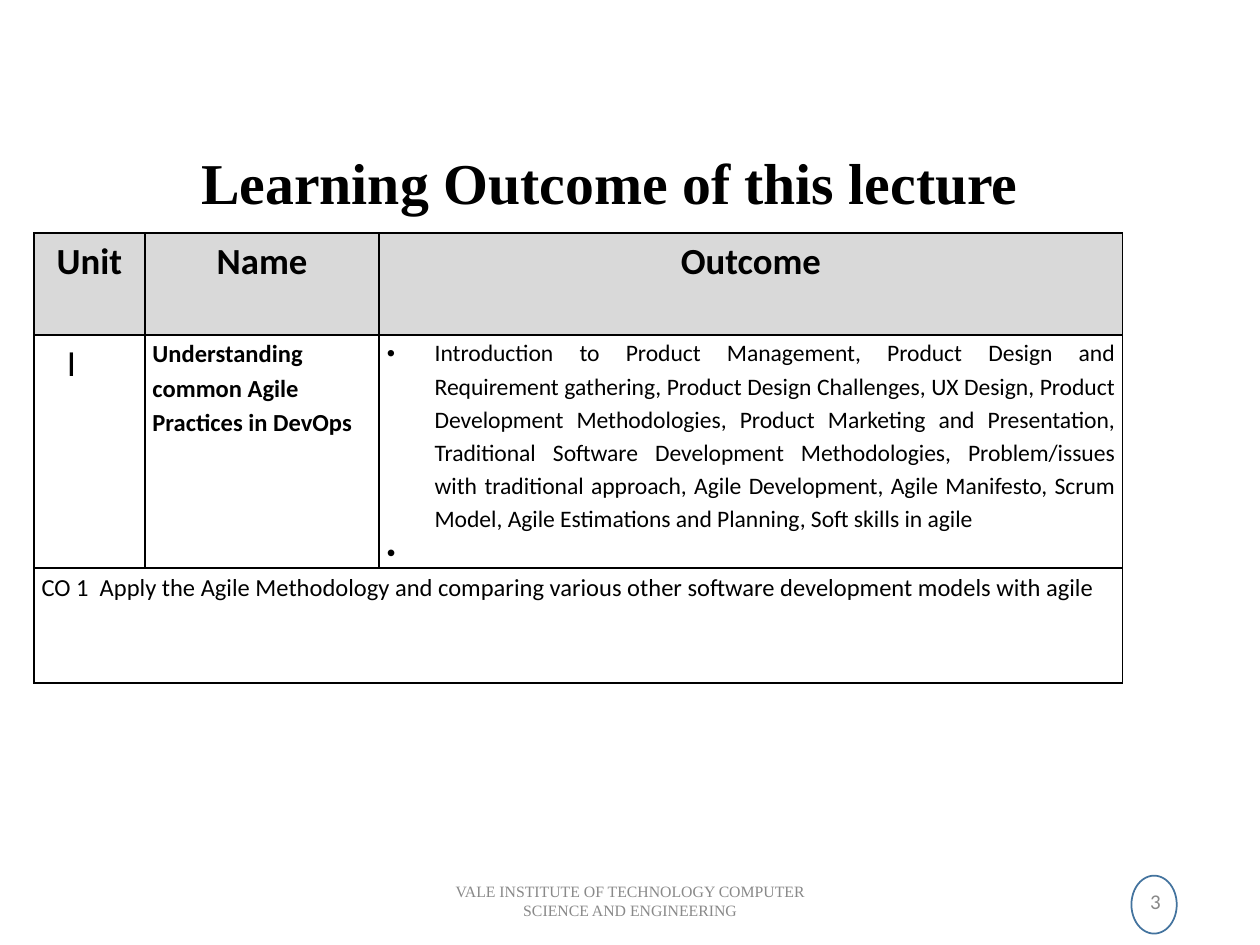
from lxml import etree
from pptx import Presentation
from pptx.dml.color import RGBColor
from pptx.enum.shapes import MSO_SHAPE
from pptx.enum.text import MSO_ANCHOR, MSO_AUTO_SIZE, PP_ALIGN
from pptx.oxml.ns import qn
from pptx.util import Inches, Pt

OVAL = MSO_SHAPE.OVAL
MIDDLE, BOTTOM = MSO_ANCHOR.MIDDLE, MSO_ANCHOR.BOTTOM
LEFT, CENTER, RIGHT, JUSTIFY = PP_ALIGN.LEFT, PP_ALIGN.CENTER, PP_ALIGN.RIGHT, PP_ALIGN.JUSTIFY
NO_FIT = MSO_AUTO_SIZE.NONE

BLACK = RGBColor(0x00, 0x00, 0x00)
GRAY = RGBColor(0x89, 0x89, 0x89)
HEADER_FILL = RGBColor(0xD9, 0xD9, 0xD9)
RING_BLUE = RGBColor(0x43, 0x73, 0x9E)
SANS, SERIF = "Calibri", "Times New Roman"

COLUMN_WIDTHS = (0.88, 1.86, 5.9)
ROW_HEIGHTS = (0.81, 1.85, 0.91)
FOOTER_TOP, FOOTER_HEIGHT = 6.95, 0.4

HEADERS = ("Unit", "Name", "Outcome")
UNIT_NAME = "Understanding common Agile Practices in DevOps"
TOPICS = (
    "Introduction to Product Management, Product Design and Requirement gathering, "
    "Product Design Challenges, UX Design, Product Development Methodologies, "
    "Product Marketing and Presentation, Traditional Software Development Methodologies, "
    "Problem/issues with traditional approach, Agile Development, Agile Manifesto, "
    "Scrum Model, Agile Estimations and Planning, Soft skills in agile"
)
COURSE_OUTCOME = ("CO 1  Apply the Agile Methodology and comparing various other "
                  "software development models with agile")


def write(paragraph, text, size, font=SANS, color=BLACK, bold=False, align=LEFT, spacing=1.0):
    paragraph.alignment = align
    paragraph.line_spacing = spacing
    run = paragraph.add_run()
    run.text = text
    run.font.size = Pt(size)
    run.font.name = font
    run.font.bold = bold
    run.font.color.rgb = color


def indent(paragraph, margin, first_line=0.0):
    properties = paragraph._p.get_or_add_pPr()
    properties.set("marL", str(Inches(margin)))
    properties.set("indent", str(Inches(first_line)))
    return properties


def add_bullet(paragraph):
    properties = indent(paragraph, 0.38, -0.38)
    etree.SubElement(properties, qn("a:buFont"), typeface="Arial")
    etree.SubElement(properties, qn("a:buChar"), char="•")


def add_borders(cell):
    properties = cell._tc.get_or_add_tcPr()
    for position, side in enumerate(("lnL", "lnR", "lnT", "lnB")):
        line = etree.Element(qn(f"a:{side}"), w=str(Pt(1)))
        fill = etree.SubElement(line, qn("a:solidFill"))
        etree.SubElement(fill, qn("a:srgbClr"), val=str(BLACK))
        properties.insert(position, line)


def format_cell(cell, is_header):
    cell.margin_left = cell.margin_right = Inches(0.06)
    cell.margin_top = cell.margin_bottom = 0
    if is_header:
        cell.fill.solid()
        cell.fill.fore_color.rgb = HEADER_FILL
    else:
        cell.fill.background()
    add_borders(cell)


def place_title(slide, left, top, width, height):
    title = slide.shapes.title
    title.left, title.top, title.width, title.height = map(Inches, (left, top, width, height))
    frame = title.text_frame
    frame.auto_size = NO_FIT
    frame.vertical_anchor = BOTTOM
    write(frame.paragraphs[0], "Learning Outcome of this lecture", 33, SERIF,
          bold=True, align=CENTER, spacing=0.9)


def add_outcome_table(slide, left, top):
    table = slide.shapes.add_table(
        len(ROW_HEIGHTS), len(COLUMN_WIDTHS), Inches(left), Inches(top),
        Inches(sum(COLUMN_WIDTHS)), Inches(sum(ROW_HEIGHTS))).table
    table.first_row = table.horz_banding = False
    for column, width in zip(table.columns, COLUMN_WIDTHS):
        column.width = Inches(width)
    for index, (row, height) in enumerate(zip(table.rows, ROW_HEIGHTS)):
        row.height = Inches(height)
        for cell in row.cells:
            format_cell(cell, is_header=index == 0)
    table.cell(2, 0).merge(table.cell(2, 2))

    def first_paragraph(row, column):
        return table.cell(row, column).text_frame.paragraphs[0]

    for column, header in enumerate(HEADERS):
        write(first_paragraph(0, column), header, 21, bold=True, align=CENTER, spacing=1.15)
    unit = first_paragraph(1, 0)
    write(unit, "I", 21, spacing=1.15)
    indent(unit, 0.2)
    write(first_paragraph(1, 1), UNIT_NAME, 14, bold=True, spacing=1.15)
    topics = first_paragraph(1, 2)
    open_item = table.cell(1, 2).text_frame.add_paragraph()
    for paragraph, text, size in ((topics, TOPICS, 13.5), (open_item, " ", 14)):
        write(paragraph, text, size, align=JUSTIFY, spacing=1.15)
        add_bullet(paragraph)
    write(first_paragraph(2, 0), COURSE_OUTCOME, 14, spacing=1.15)


def add_footer_text(slide, left, width, text, size, font, align):
    box = slide.shapes.add_textbox(*map(Inches, (left, FOOTER_TOP, width, FOOTER_HEIGHT)))
    frame = box.text_frame
    frame.word_wrap = True
    frame.vertical_anchor = MIDDLE
    write(frame.paragraphs[0], text, size, font, GRAY, align=align)


def add_footer(slide):
    ring = slide.shapes.add_shape(OVAL, *map(Inches, (8.98, FOOTER_TOP, 0.36, 0.46)))
    ring.shadow.inherit = False
    ring.fill.background()
    ring.line.color.rgb = RING_BLUE
    ring.line.width = Pt(1)
    add_footer_text(slide, 7.06, 2.25, "3", 12, SANS, RIGHT)
    add_footer_text(slide, 3.31, 3.38,
                    "VALE INSTITUTE OF TECHNOLOGY COMPUTER SCIENCE AND ENGINEERING",
                    9, SERIF, CENTER)


def main():
    presentation = Presentation()
    presentation.slide_width, presentation.slide_height = Inches(10), Inches(7.5)
    slide = presentation.slides.add_slide(presentation.slide_layouts.get_by_name("Title Only"))
    place_title(slide, 0.69, 1.05, 8.3, 0.72)
    add_outcome_table(slide, 0.27, 1.85)
    add_footer(slide)
    presentation.save("out.pptx")


if __name__ == "__main__":
    main()
